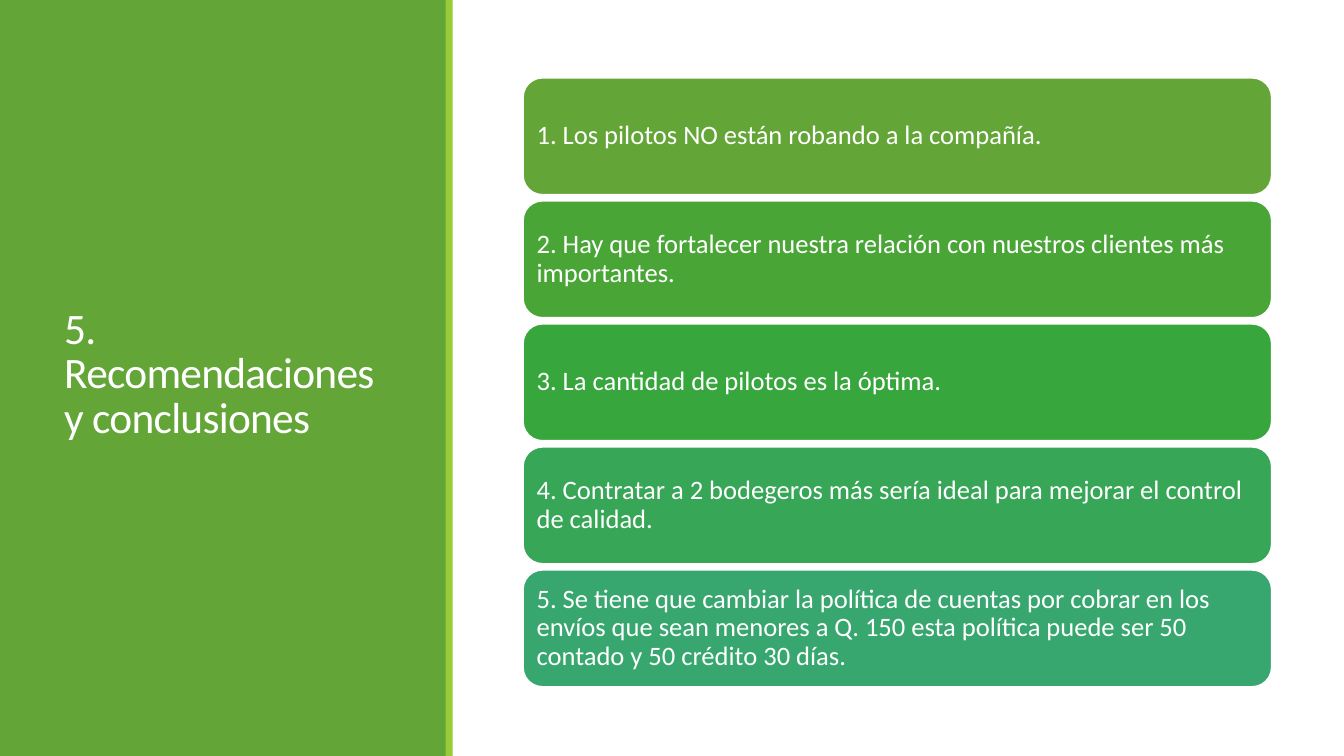
from pptx import Presentation
from pptx.dml.color import RGBColor
from pptx.enum.shapes import MSO_SHAPE
from pptx.enum.text import MSO_ANCHOR, PP_ALIGN
from pptx.util import Cm, Pt

WHITE = RGBColor(0xFF, 0xFF, 0xFF)
GREEN = RGBColor(0x63, 0xA5, 0x37)
LIME = RGBColor(0x99, 0xCB, 0x38)
LEAF = RGBColor(0x4A, 0xA5, 0x37)
EMERALD = RGBColor(0x37, 0xA6, 0x3D)
JADE = RGBColor(0x37, 0xA6, 0x56)
SEA = RGBColor(0x37, 0xA7, 0x6F)

CONCLUSIONS = [
    ("1. Los pilotos NO están robando a la compañía.", GREEN),
    ("2. Hay que fortalecer nuestra relación con nuestros clientes más importantes.", LEAF),
    ("3. La cantidad de pilotos es la óptima.", EMERALD),
    ("4. Contratar a 2 bodegeros más sería ideal para mejorar el control de calidad.", JADE),
    ("5. Se tiene que cambiar la política de cuentas por cobrar en los envíos que sean "
     "menores a Q. 150 esta política puede ser 50 contado y 50 crédito 30 días.", SEA),
]
CARD_TOP = 1.96
CARD_PITCH = 3.1


def add_block(s, kind, left, top, width, height, color):
    sp = s.shapes.add_shape(kind, Cm(left), Cm(top), Cm(width), Cm(height))
    sp.shadow.inherit = False
    sp.fill.solid()
    sp.fill.fore_color.rgb = color
    sp.line.fill.background()
    return sp


def write(tf, text, size, line_spacing):
    tf.word_wrap = True
    tf.vertical_anchor = MSO_ANCHOR.MIDDLE
    p = tf.paragraphs[0]
    p.alignment = PP_ALIGN.LEFT
    p.line_spacing = line_spacing
    r = p.add_run()
    r.text = text
    r.font.name = "Calibri"
    r.font.size = Pt(size)
    r.font.color.rgb = WHITE
    return r


def add_title(s, text):
    sp = s.shapes.add_textbox(Cm(1.37), Cm(1.45), Cm(8.56), Cm(16.03))
    r = write(sp.text_frame, text, 31, 0.85)
    r.font._element.set("spc", "-50")


def add_card(s, top, text, color):
    sp = add_block(s, MSO_SHAPE.ROUNDED_RECTANGLE, 13.18, top, 18.87, 2.95, color)
    sp.line.color.rgb = WHITE
    sp.line.width = Pt(1.25)
    tf = sp.text_frame
    tf.margin_left = tf.margin_right = tf.margin_top = tf.margin_bottom = Cm(0.2)
    write(tf, text, 19, 0.9)


def main():
    prs = Presentation()
    prs.slide_width, prs.slide_height = Cm(33.87), Cm(19.05)
    s = prs.slides.add_slide(prs.slide_layouts[6])
    add_block(s, MSO_SHAPE.RECTANGLE, 0, 0, 11.25, 19.05, GREEN)
    add_title(s, "5. Recomendaciones y conclusiones")
    add_block(s, MSO_SHAPE.RECTANGLE, 11.23, 0, 0.18, 19.05, LIME)
    for i, (text, color) in enumerate(CONCLUSIONS):
        add_card(s, CARD_TOP + i * CARD_PITCH, text, color)
    prs.save("out.pptx")


if __name__ == "__main__":
    main()
